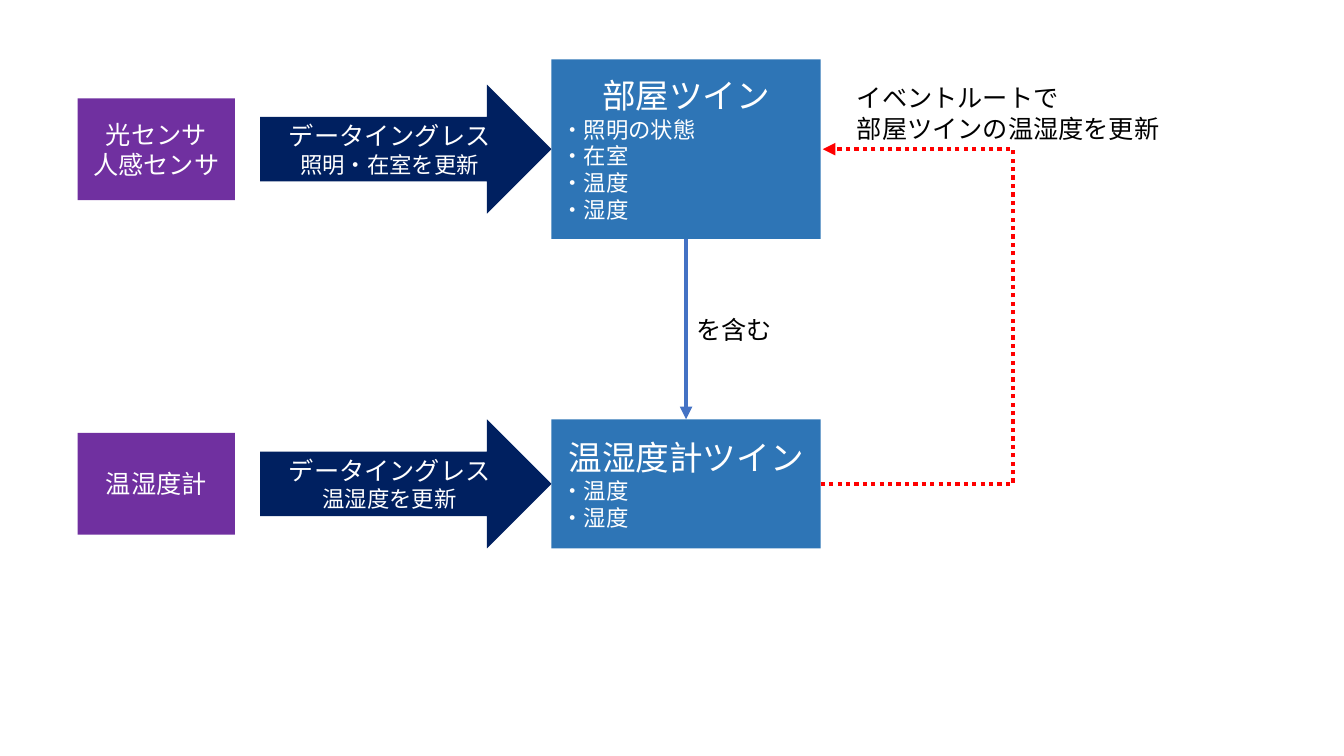
"""Build the sensor and digital twin data flow slide."""
from dataclasses import dataclass

from lxml import etree
from pptx import Presentation
from pptx import util as u
from pptx.dml.color import RGBColor
from pptx.enum import dml, shapes, text
from pptx.oxml import ns


@dataclass(frozen=True)
class Theme:
    """Colours, type sizes and line width of the slide."""
    font: str = "Noto Sans CJK JP"
    twin: str = "2E75B6"
    feed: str = "002060"
    sensor: str = "7030A0"
    link: str = "4472C4"
    route: str = "FF0000"
    light: str = "FFFFFF"
    dark: str = "000000"
    head: int = 24
    body: int = 18
    small: int = 16
    stroke: int = 3


THEME = Theme()
RECT = shapes.MSO_SHAPE.RECTANGLE
ARROW = shapes.MSO_SHAPE.RIGHT_ARROW
LEFT, MID = text.PP_ALIGN.LEFT, text.PP_ALIGN.CENTER


def rgb(code):
    """Turn a hex code into a colour."""
    return RGBColor.from_string(code)


def inch(*values):
    """Turn numbers into inch lengths."""
    return [u.Inches(value) for value in values]


def child(node, tag, **attrs):
    """Append a drawing element to a node."""
    return etree.SubElement(node, ns.qn(tag), attrs)


def write(frame, lines, color):
    """Fill a frame with (text, size, alignment) lines."""
    frame.text = "\n".join(line[0] for line in lines)
    for para, (_, size, align) in zip(frame.paragraphs, lines):
        para.alignment = align
        for run in para.runs:
            run.font.size = u.Pt(size)
            run.font.color.rgb = rgb(color)
            run.font.name = THEME.font
            child(run.font._element, "a:ea", typeface=THEME.font)


def block(slide, kind, box, fill, lines):
    """Add a filled shape with light text."""
    shape = slide.shapes.add_shape(kind, *inch(*box))
    shape.shadow.inherit = False
    shape.fill.solid()
    shape.fill.fore_color.rgb = rgb(fill)
    shape.line.fill.background()
    frame = shape.text_frame
    frame.word_wrap = True
    frame.vertical_anchor = text.MSO_ANCHOR.MIDDLE
    write(frame, lines, THEME.light)
    return shape


def label(slide, box, lines):
    """Add an unwrapped dark caption."""
    frame = slide.shapes.add_textbox(*inch(*box)).text_frame
    frame.word_wrap = False
    frame.auto_size = text.MSO_AUTO_SIZE.SHAPE_TO_FIT_TEXT
    write(frame, [(line, THEME.body, LEFT) for line in lines], THEME.dark)


def arrow(slide, kind, start, end, color):
    """Add a connector with a triangle at its end."""
    line = slide.shapes.add_connector(kind, *inch(*start, *end))
    line.line.color.rgb = rgb(color)
    line.line.width = u.Pt(THEME.stroke)
    child(line.line._get_or_add_ln(), "a:tailEnd", type="triangle")
    child(line._element.spPr, "a:effectLst")
    return line


def flow(slide, box, sensors, update, name, states):
    """Add a row: sensor, ingress arrow and twin, all centred on its middle."""
    left, top, width, height = box
    mid = top + height / 2
    feed = 1.28
    names = [(line, THEME.body, MID) for line in sensors]
    block(slide, RECT, (left, mid - 0.505, 1.56, 1.01), THEME.sensor, names)
    ingress = [("データイングレス", THEME.body, MID), (update, THEME.small, MID)]
    block(slide, ARROW, (left + 1.81, mid - feed / 2, 2.89, feed),
          THEME.feed, ingress)
    facts = [(name, THEME.head, MID)]
    facts += [("・" + state, THEME.small, LEFT) for state in states]
    return block(slide, RECT, (left + width - 2.67, top, 2.67, height),
                 THEME.twin, facts)


def contain(slide, upper, lower, box):
    """Link the upper twin to the lower one and caption the link."""
    x, y = box[0], box[1]
    line = arrow(slide, shapes.MSO_CONNECTOR.STRAIGHT,
                 (x, y), (x, y + box[3]), THEME.link)
    line.begin_connect(upper, 2)
    line.end_connect(lower, 0)
    label(slide, (x, y + 0.7, 0.96, 0.4), ["を含む"])


def route(slide, box):
    """Draw the dotted event route around the box's right side."""
    x, y, width, height = box
    gap = 0.02
    line = arrow(slide, shapes.MSO_CONNECTOR.ELBOW,
                 (x, y + height), (x + gap, y), THEME.route)
    line.line.dash_style = dml.MSO_LINE.ROUND_DOT
    geom = line._element.spPr.find(ns.qn("a:prstGeom"))
    bend = round(width / gap * 100000)
    child(geom.find(ns.qn("a:avLst")), "a:gd", name="adj1", fmla=f"val {bend}")
    label(slide, (x + 0.26, y - 0.71, 3.23, 0.71),
          ["イベントルートで", "部屋ツインの温湿度を更新"])


def main():
    """Build and save the slide."""
    deck = Presentation()
    deck.slide_width, deck.slide_height = inch(13.33, 7.5)
    slide = deck.slides.add_slide(deck.slide_layouts[6])
    room = flow(slide, (0.77, 0.59, 7.37, 1.78), ["光センサ", "人感センサ"],
                "照明・在室を更新", "部屋ツイン",
                ["照明の状態", "在室", "温度", "湿度"])
    meter = flow(slide, (0.77, 4.16, 7.37, 1.28), ["温湿度計"],
                 "温湿度を更新", "温湿度計ツイン", ["温度", "湿度"])
    contain(slide, room, meter, (6.81, 2.37, 0.96, 1.79))
    route(slide, (8.14, 1.48, 1.9, 3.32))
    deck.save("out.pptx")


main()
